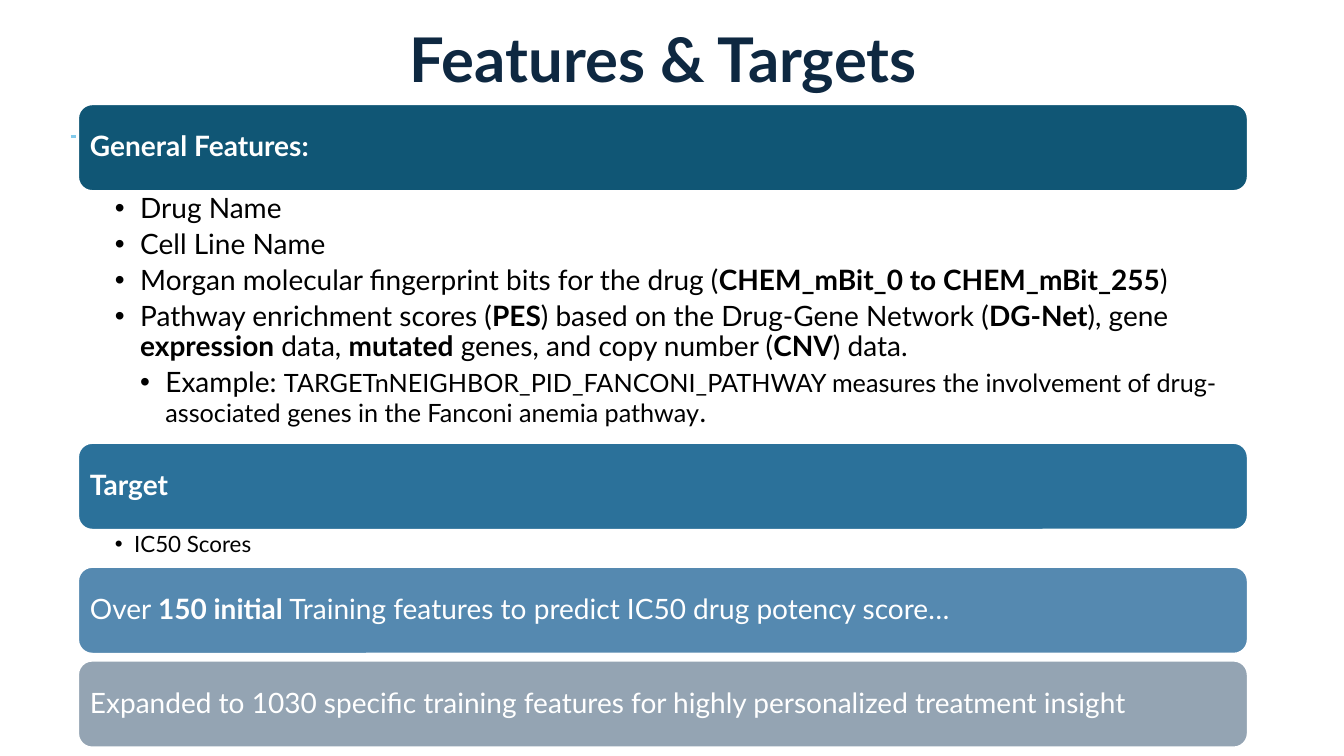
from dataclasses import dataclass

from lxml.etree import SubElement
from pptx import Presentation
from pptx.dml.color import RGBColor
from pptx.enum.shapes import MSO_CONNECTOR, MSO_SHAPE
from pptx.enum.text import MSO_ANCHOR as Anchor, PP_ALIGN as Align
from pptx.oxml.ns import qn
from pptx.shapes.base import BaseShape
from pptx.slide import Slide
from pptx.text.text import TextFrame, _Paragraph as Paragraph
from pptx.util import Inches, Pt

FONT = "Lato"
WHITE, BLACK, NAVY, SKY = "FFFFFF", "000000", "0E2841", "82CAEB"
LEFT, WIDTH, BAR_HEIGHT = 0.77, 11.61, 0.87


@dataclass(frozen=True)
class Run:
    text: str
    bold: bool = False
    size: int = 20


@dataclass(frozen=True)
class Bullet:
    runs: tuple[Run, ...]
    level: int = 1
    indent: float = 0.25
    hang: float = 0.25


@dataclass(frozen=True)
class Section:
    top: float
    fill: str
    heading: tuple[Run, ...]
    bullets: tuple[Bullet, ...] = ()
    list_height: float = 0


SECTIONS = (
    Section(1.03, "105675", (Run("General Features:", True),), (
        Bullet((Run("Drug Name"),)),
        Bullet((Run("Cell Line Name"),)),
        Bullet((
            Run("Morgan molecular fingerprint bits for the drug ("),
            Run("CHEM_mBit_0 to CHEM_mBit_255", True),
            Run(")"),
        )),
        Bullet((
            Run("Pathway enrichment scores ("),
            Run("PES", True),
            Run(") based on the Drug-Gene Network ("),
            Run("DG-Net", True),
            Run("), gene "),
            Run("expression", True),
            Run(" data, "),
            Run("mutated", True),
            Run(" genes, and copy number ("),
            Run("CNV", True),
            Run(") data."),
        )),
        Bullet((
            Run("Example: "),
            Run("TARGETnNEIGHBOR_PID_FANCONI_PATHWAY measures the involvement of "
                "drug-associated genes in the Fanconi anemia pathway", size=18),
            Run("."),
        ), level=2, indent=0.5),
    ), 2.49),
    Section(4.39, "2B719A", (Run("Target", True),), (
        Bullet((Run("IC50 Scores", size=16),), indent=0.19, hang=0.19),
    ), 0.36),
    Section(5.62, "5589B0", (
        Run("Over "),
        Run("150 initial", True),
        Run(" Training features to predict IC50 drug potency score…"),
    )),
    Section(6.55, "94A4B3", (
        Run("Expanded to 1030 specific training features for highly personalized "
            "treatment insight"),
    )),
)


def rgb(value: str) -> RGBColor:
    return RGBColor.from_string(value)


def set_frame(shape: BaseShape, anchor: Anchor, left: float, right: float,
              vertical: float) -> TextFrame:
    frame = shape.text_frame
    frame.word_wrap = True
    frame.vertical_anchor = anchor
    frame.margin_left, frame.margin_right = Inches(left), Inches(right)
    frame.margin_top = frame.margin_bottom = Inches(vertical)
    return frame


def write_runs(paragraph: Paragraph, runs: tuple[Run, ...], color: str,
               align: Align = Align.LEFT) -> None:
    paragraph.alignment = align
    paragraph.line_spacing = 0.9
    for part in runs:
        run = paragraph.add_run()
        run.text = part.text
        run.font.name = FONT
        run.font.size = Pt(part.size)
        run.font.bold = part.bold
        run.font.color.rgb = rgb(color)


def add_bullet_mark(paragraph: Paragraph, bullet: Bullet) -> None:
    paragraph.level = bullet.level
    properties = paragraph._p.get_or_add_pPr()
    properties.set("marL", str(Inches(bullet.indent)))
    properties.set("indent", str(-Inches(bullet.hang)))
    mark_color = SubElement(properties, qn("a:buClr"))
    SubElement(mark_color, qn("a:srgbClr"), val=BLACK)
    SubElement(properties, qn("a:buFont"), typeface="Arial")
    SubElement(properties, qn("a:buChar"), char="•")


def draw_accent(slide: Slide) -> None:
    accent = slide.shapes.add_connector(
        MSO_CONNECTOR.STRAIGHT, Inches(0.7), Inches(1.35), Inches(12.38), Inches(1.35))
    accent.line.color.rgb = rgb(SKY)
    accent.line.width = Pt(2.25)
    SubElement(accent._element.spPr, qn("a:effectLst"))


def draw_title(slide: Slide) -> None:
    title = slide.shapes.add_textbox(Inches(0.83), Inches(-0.1), Inches(11.5), Inches(1.45))
    frame = set_frame(title, Anchor.MIDDLE, 0.1, 0.1, 0.05)
    write_runs(frame.paragraphs[0], (Run("Features & Targets", True, 44),), NAVY, Align.CENTER)


def draw_section(slide: Slide, section: Section) -> None:
    bar = slide.shapes.add_shape(
        MSO_SHAPE.ROUNDED_RECTANGLE,
        Inches(LEFT), Inches(section.top), Inches(WIDTH), Inches(BAR_HEIGHT))
    bar.shadow.inherit = False
    bar.fill.solid()
    bar.fill.fore_color.rgb = rgb(section.fill)
    bar.line.color.rgb = rgb(WHITE)
    bar.line.width = Pt(2)
    heading = set_frame(bar, Anchor.MIDDLE, 0.08, 0.08, 0.08)
    write_runs(heading.paragraphs[0], section.heading, WHITE)

    if not section.bullets:
        return
    details = slide.shapes.add_textbox(
        Inches(LEFT), Inches(section.top + BAR_HEIGHT),
        Inches(WIDTH), Inches(section.list_height))
    frame = set_frame(details, Anchor.TOP, 0.37, 0.16, 0.03)
    for index, bullet in enumerate(section.bullets):
        paragraph = frame.add_paragraph() if index else frame.paragraphs[0]
        add_bullet_mark(paragraph, bullet)
        if index:
            paragraph.space_before = Pt(4)
        write_runs(paragraph, bullet.runs, BLACK)


def main() -> None:
    presentation = Presentation()
    presentation.slide_width = Inches(13.33)
    presentation.slide_height = Inches(7.5)
    slide = presentation.slides.add_slide(presentation.slide_layouts[6])
    draw_accent(slide)
    draw_title(slide)
    for section in SECTIONS:
        draw_section(slide, section)
    presentation.save("out.pptx")


if __name__ == "__main__":
    main()
